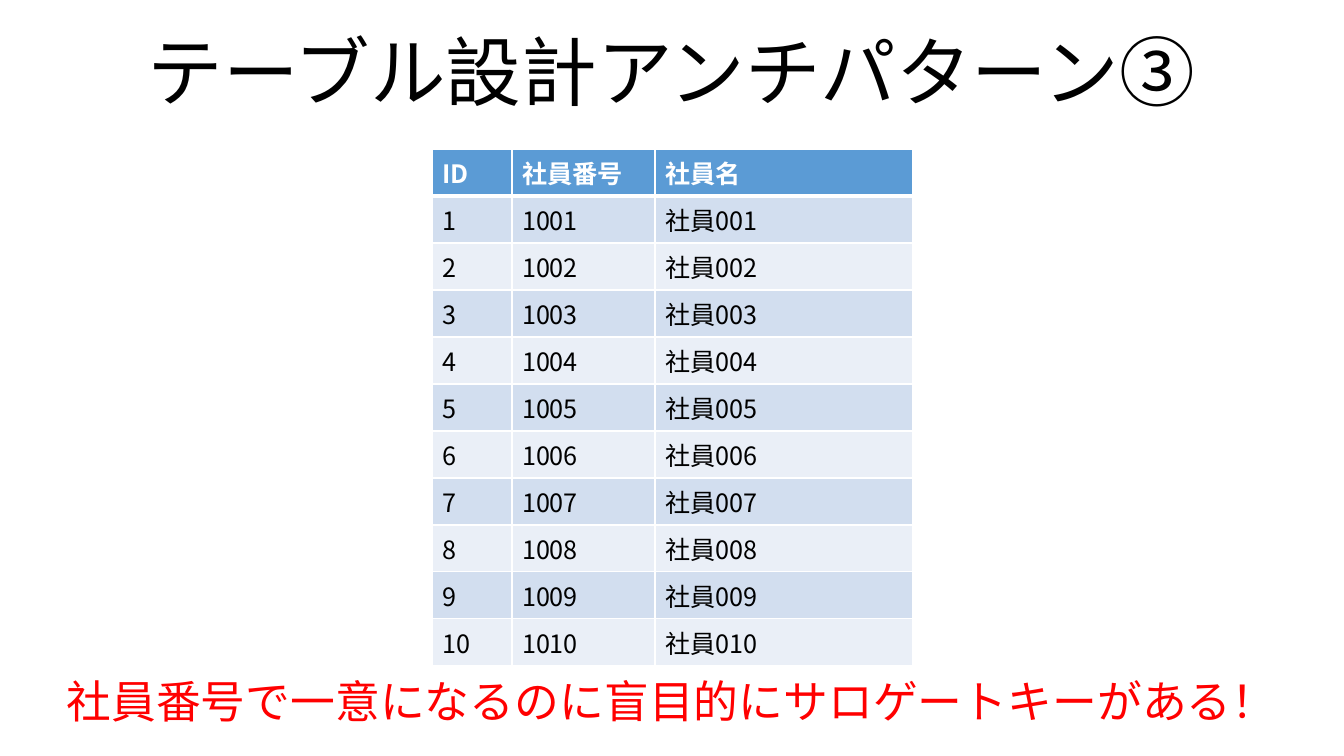
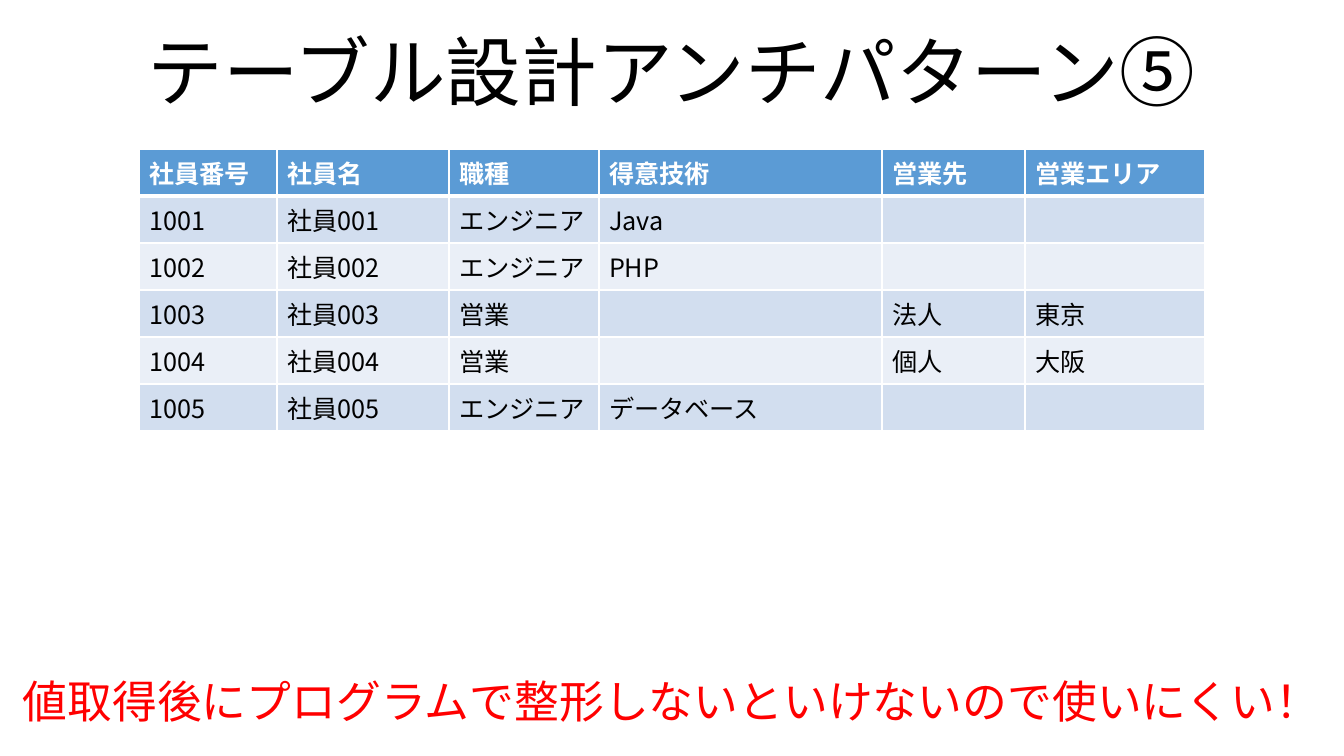
from dataclasses import dataclass

from lxml.etree import SubElement
from pptx import Presentation
from pptx.dml.color import RGBColor
from pptx.enum.text import MSO_ANCHOR, MSO_AUTO_SIZE, PP_ALIGN
from pptx.oxml.ns import qn
from pptx.slide import Slide
from pptx.table import _Cell
from pptx.text.text import TextFrame
from pptx.util import Emu, Inches, Pt

FONT = "Noto Sans CJK JP"
COLORS = {
    "title": "000000",
    "body": "000000",
    "warning": "FF0000",
    "header_text": "FFFFFF",
    "header": "5B9BD5",
    "odd_row": "D2DEEF",
    "even_row": "EAEFF7",
    "border": "FFFFFF",
}
EMU_PER_PIXEL = 914400 / 100.8
SLIDE_WIDTH = 1344
TABLE_TOP = 149
ROW_HEIGHT = 47
TITLE_ONLY_LAYOUT = 5


@dataclass(frozen=True)
class AntiPattern:
    """One table design anti-pattern: its title, example table and warning."""

    title: str
    warning: str
    table_left: int
    column_widths: tuple[int, ...]
    rows: list[tuple[str, ...]]


def px(pixels: int) -> Emu:
    """Convert whole pixels to EMU."""
    return Emu(round(pixels * EMU_PER_PIXEL))


def rgb(color: str) -> RGBColor:
    """Look up a named colour."""
    return RGBColor.from_string(COLORS[color])


def format_text(frame: TextFrame, size: int, color: str, bold: bool = False) -> None:
    """Format every run, for Latin and East Asian glyphs alike."""
    for paragraph in frame.paragraphs:
        for run in paragraph.runs:
            run.font.name = FONT
            run.font.size = Pt(size)
            run.font.bold = bold
            run.font.color.rgb = rgb(color)
            east_asian = SubElement(run.font._element, qn("a:ea"))
            east_asian.set("typeface", FONT)


def add_border(cell: _Cell, side: str, points: int) -> None:
    """Draw one solid cell edge; side is L, R, T or B."""
    edge = SubElement(cell._tc.get_or_add_tcPr(), qn(f"a:ln{side}"))
    edge.set("w", str(Pt(points)))
    fill = SubElement(edge, qn("a:solidFill"))
    SubElement(fill, qn("a:srgbClr")).set("val", COLORS["border"])


def format_cell(cell: _Cell, row: int) -> None:
    """Style a cell as header or as part of an alternating band."""
    is_header = row == 0
    edges = {"L": 1, "R": 1, "T": 3 if row == 1 else 1, "B": 3 if is_header else 1}
    for side, points in edges.items():
        add_border(cell, side, points)
    band = "odd_row" if row % 2 else "even_row"
    cell.fill.solid()
    cell.fill.fore_color.rgb = rgb("header" if is_header else band)
    format_text(cell.text_frame, 18, "header_text" if is_header else "body", is_header)


def add_title(slide: Slide, text: str) -> None:
    """Place the centred title."""
    title = slide.shapes.title
    title.left, title.top, title.width, title.height = map(px, (92, 3, 1159, 146))
    frame = title.text_frame
    frame.text = text
    frame.auto_size = MSO_AUTO_SIZE.NONE
    frame.vertical_anchor = MSO_ANCHOR.MIDDLE
    frame.paragraphs[0].alignment = PP_ALIGN.CENTER
    frame.paragraphs[0].line_spacing = 0.9
    format_text(frame, 54, "title")


def add_example_table(slide: Slide, pattern: AntiPattern) -> None:
    """Draw the example table of an anti-pattern."""
    rows, widths = pattern.rows, pattern.column_widths
    table = slide.shapes.add_table(
        len(rows), len(widths), px(pattern.table_left), px(TABLE_TOP),
        px(sum(widths)), px(ROW_HEIGHT * len(rows)),
    ).table
    for column, width in zip(table.columns, widths):
        column.width = px(width)
    for row, values in enumerate(rows):
        table.rows[row].height = px(ROW_HEIGHT)
        for column, value in enumerate(values):
            cell = table.cell(row, column)
            if value:
                cell.text_frame.text = value
            format_cell(cell, row)


def add_warning(slide: Slide, text: str) -> None:
    """Write the red conclusion across the foot of the slide."""
    warning = slide.shapes.add_textbox(px(0), px(669), px(SLIDE_WIDTH), px(65))
    frame = warning.text_frame
    frame.word_wrap = True
    frame.auto_size = MSO_AUTO_SIZE.SHAPE_TO_FIT_TEXT
    frame.text = text
    frame.paragraphs[0].alignment = PP_ALIGN.CENTER
    format_text(frame, 32, "warning")


ANTI_PATTERNS = [
    AntiPattern(
        title="テーブル設計アンチパターン③",
        warning="社員番号で一意になるのに盲目的にサロゲートキーがある！",
        table_left=432,
        column_widths=(80, 143, 258),
        rows=[("ID", "社員番号", "社員名")]
        + [(str(n), str(1000 + n), f"社員{n:03}") for n in range(1, 11)],
    ),
    AntiPattern(
        title="テーブル設計アンチパターン⑤",
        warning="値取得後にプログラムで整形しないといけないので使いにくい！",
        table_left=139,
        column_widths=(138, 172, 150, 283, 143, 180),
        rows=[
            ("社員番号", "社員名", "職種", "得意技術", "営業先", "営業エリア"),
            ("1001", "社員001", "エンジニア", "Java", "", ""),
            ("1002", "社員002", "エンジニア", "PHP", "", ""),
            ("1003", "社員003", "営業", "", "法人", "東京"),
            ("1004", "社員004", "営業", "", "個人", "大阪"),
            ("1005", "社員005", "エンジニア", "データベース", "", ""),
        ],
    ),
]


def main() -> None:
    """Build and save the presentation."""
    presentation = Presentation()
    presentation.slide_width = px(SLIDE_WIDTH)
    presentation.slide_height = Inches(7.5)
    for pattern in ANTI_PATTERNS:
        slide = presentation.slides.add_slide(presentation.slide_layouts[TITLE_ONLY_LAYOUT])
        add_title(slide, pattern.title)
        add_example_table(slide, pattern)
        add_warning(slide, pattern.warning)
    presentation.save("out.pptx")


main()
